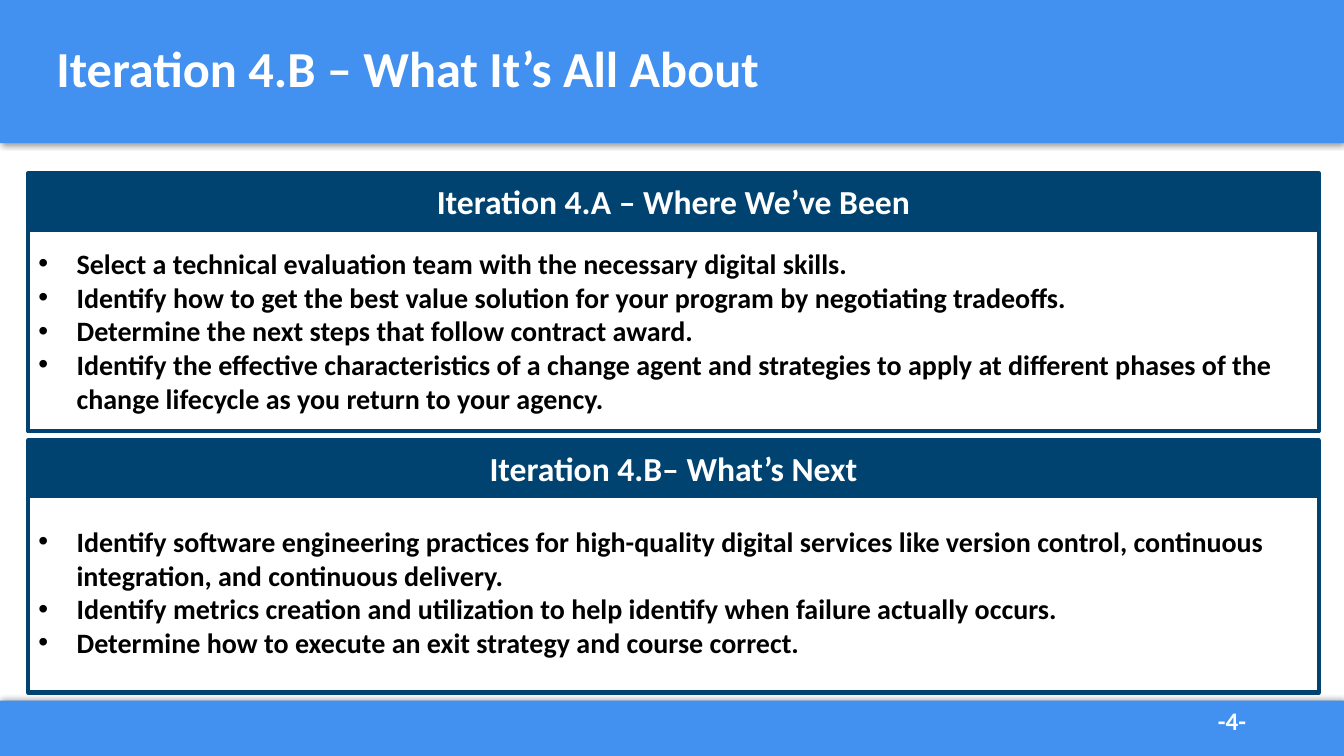
"""Build the Iteration 4.B overview slide with a recap panel and a preview panel."""
from lxml.etree import SubElement
from pptx import Presentation
from pptx.dml.color import RGBColor
from pptx.enum.shapes import MSO_SHAPE
from pptx.enum.text import MSO_ANCHOR, MSO_AUTO_SIZE, PP_ALIGN
from pptx.oxml.ns import qn
from pptx.util import Inches, Pt

BLUE, NAVY, WHITE, BLACK = "4291F0", "004370", "FFFFFF", "000000"


def tint(part, code):
    if hasattr(part, "solid"):
        part.solid()
        part.fore_color.rgb = RGBColor.from_string(code)
    else:
        part.color.rgb = RGBColor.from_string(code)


def write(shape, lines, size, code, align=PP_ALIGN.LEFT, anchor=MSO_ANCHOR.MIDDLE):
    frame = shape.text_frame
    frame.word_wrap = True
    frame.auto_size = MSO_AUTO_SIZE.NONE
    frame.vertical_anchor = anchor
    for i, line in enumerate(lines):
        para = frame.add_paragraph() if i else frame.paragraphs[0]
        para.alignment = align
        para.space_before = Pt(0)
        run = para.add_run()
        run.text = line
        run.font.name = "Calibri"
        run.font.size = Pt(size)
        run.font.bold = True
        tint(run.font, code)


deck = Presentation()
deck.slide_width, deck.slide_height = Inches(13.33), Inches(7.5)
slide = deck.slides.add_slide(deck.slide_layouts[3])
shapes = slide.shapes
title, *bodies = slide.placeholders

for top, high, angle in [(0, 1.42, 90), (6.95, 0.55, 270)]:
    bar = shapes.add_shape(MSO_SHAPE.RECTANGLE, 0, Inches(top), deck.slide_width, Inches(high))
    tint(bar.fill, BLUE)
    bar.line.fill.background()
    bar.shadow.inherit = False
    glow = SubElement(bar.element.spPr.find(qn("a:effectLst")), qn("a:outerShdw"),
                      blurRad=str(Pt(4)), dist=str(Pt(1)), dir=str(angle * 60000),
                      algn="t", rotWithShape="0")
    shade = SubElement(glow, qn("a:srgbClr"), val=BLACK)
    SubElement(shade, qn("a:alpha"), val="40000")
    shapes._spTree.insert(2, bar.element)

title.left, title.top = Inches(0.46), Inches(-0.02)
title.width, title.height = Inches(12.42), Inches(1.45)
write(title, ["Iteration 4.B – What It’s All About"], 36, WHITE)
title.text_frame.paragraphs[0].line_spacing = 0.9

panels = [
    (1.72, 2.28, "Iteration 4.A – Where We’ve Been", [
        "Select a technical evaluation team with the necessary digital skills.",
        "Identify how to get the best value solution for your program by negotiating tradeoffs.",
        "Determine the next steps that follow contract award.",
        "Identify the effective characteristics of a change agent and strategies to apply at "
        "different phases of the change lifecycle as you return to your agency.",
    ]),
    (4.37, 4.87, "Iteration 4.B– What’s Next", [
        "Identify software engineering practices for high-quality digital services like version "
        "control, continuous integration, and continuous delivery.",
        "Identify metrics creation and utilization to help identify when failure actually occurs.",
        "Determine how to execute an exit strategy and course correct.",
    ]),
]
left, wide = Inches(0.28), Inches(12.8)
for body, (top, start, name, goals) in zip(bodies, panels):
    head = shapes.add_shape(MSO_SHAPE.RECTANGLE, left, Inches(top), wide, Inches(0.55))
    head.shadow.inherit = False
    tint(head.fill, NAVY)
    write(head, [name], 24, WHITE, PP_ALIGN.CENTER)

    body.left, body.top, body.width, body.height = left, Inches(start), wide, Inches(2)
    write(body, goals, 20, BLACK)
    for box in (head, body):
        tint(box.line, NAVY)
        box.line.width = Pt(3)
    for para in body.text_frame.paragraphs:
        props = para._p.get_or_add_pPr()
        props.set("marL", str(Inches(0.38)))
        props.set("indent", str(Inches(-0.38)))
        SubElement(props, qn("a:buFont"), typeface="Arial")
        SubElement(props, qn("a:buChar"), char="•")

page = shapes.add_textbox(Inches(11.98), Inches(6.95), Inches(0.98), Inches(0.4))
write(page, ["-4-"], 18, WHITE, anchor=MSO_ANCHOR.TOP)

deck.save("out.pptx")
